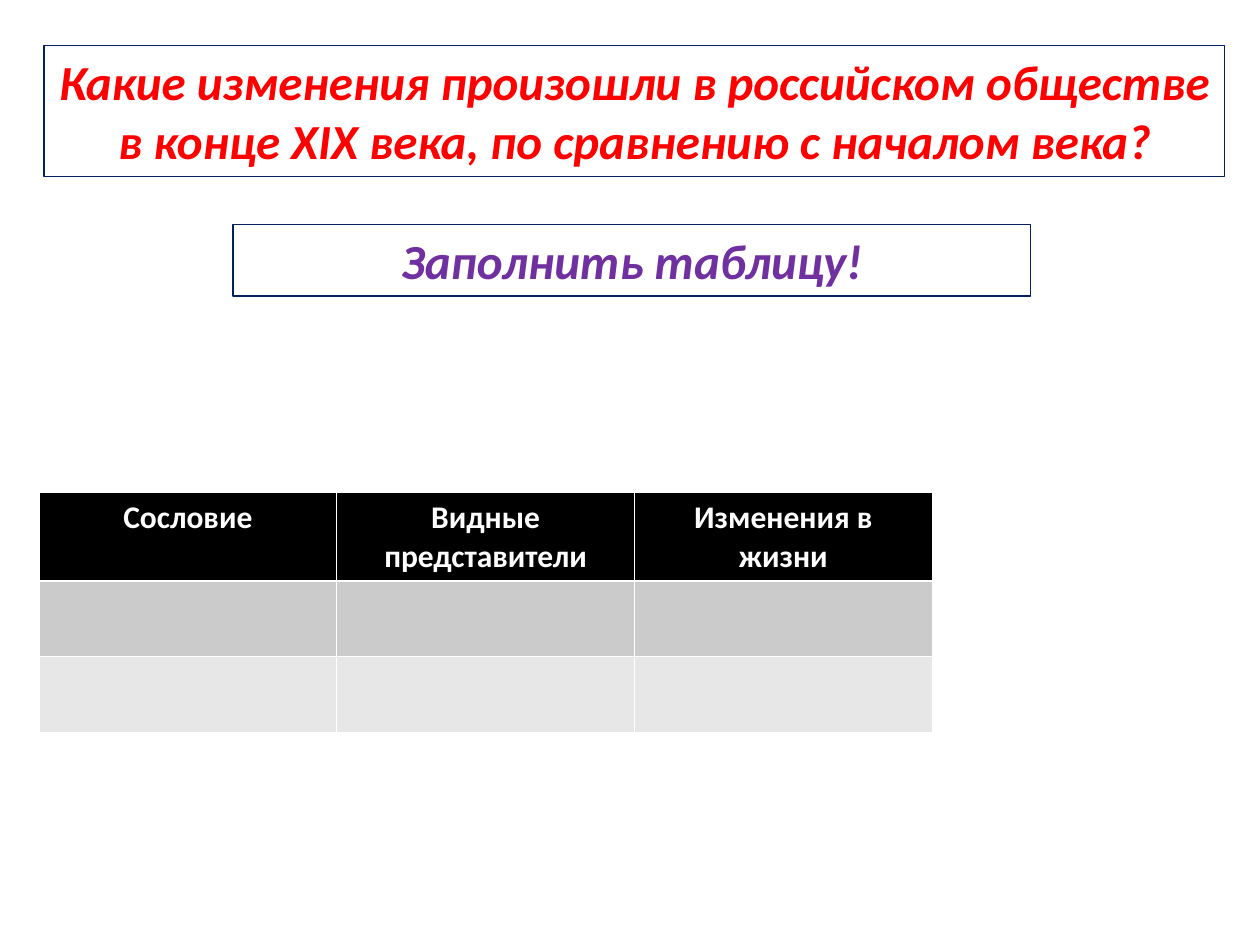
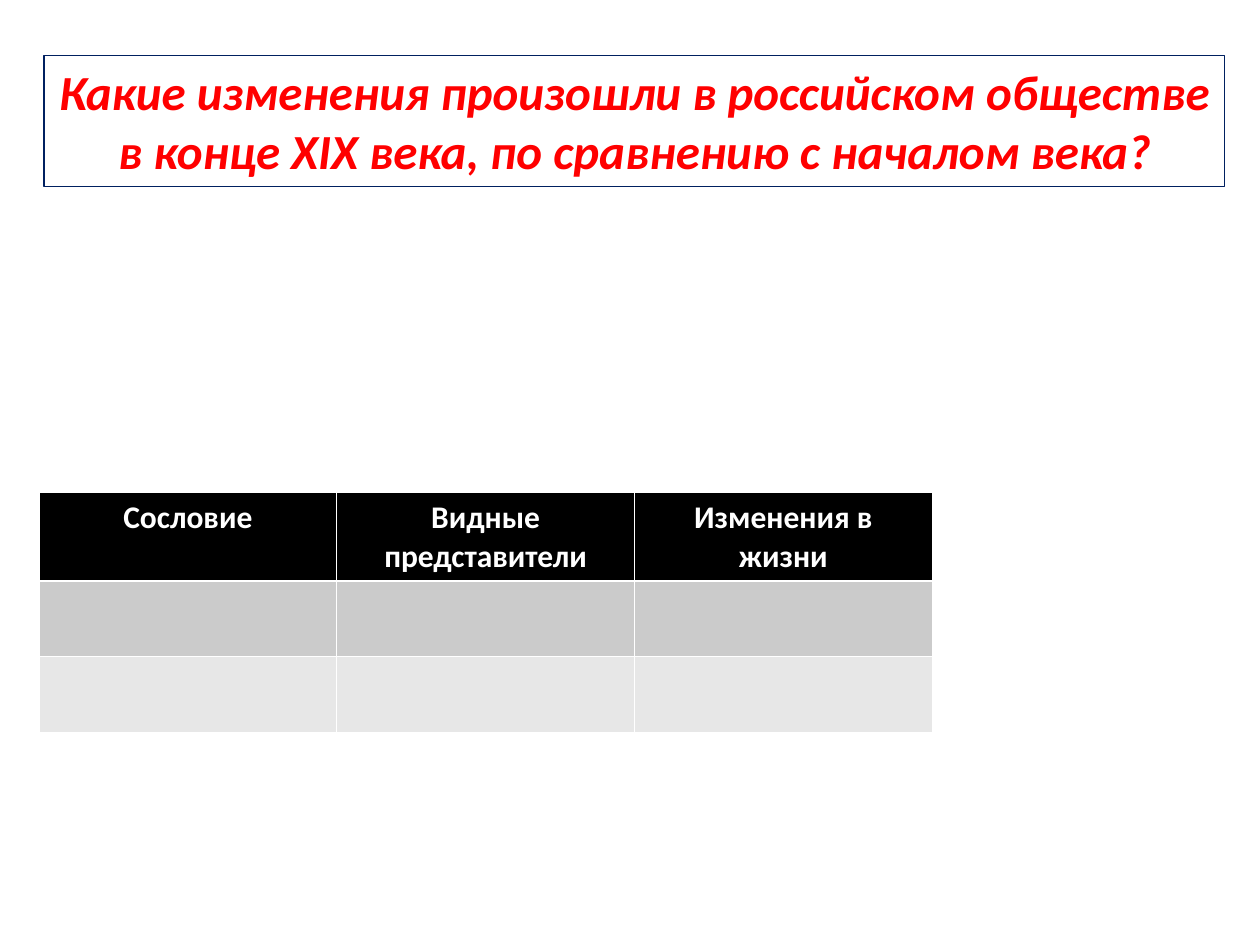
import pptx
import pptx.util
import pptx.dml.color
import pptx.enum.shapes
import pptx.enum.text
import pptx.oxml
import pptx.oxml.ns

RGBColor = pptx.dml.color.RGBColor
Pt = pptx.util.Pt

# Shared look
RED = RGBColor(0xFF, 0x00, 0x00)
PURPLE = RGBColor(0x70, 0x30, 0xA0)
NAVY = RGBColor(0x00, 0x20, 0x60)
WHITE = RGBColor(0xFF, 0xFF, 0xFF)
BLACK = RGBColor(0x00, 0x00, 0x00)
MID_GREY = RGBColor(0xCB, 0xCB, 0xCB)
PALE_GREY = RGBColor(0xE7, 0xE7, 0xE7)
FONT = "Calibri"
THIN, THICK = 0.45, 1.47

SLIDE_WIDTH = pptx.util.Inches(10)
SLIDE_HEIGHT = pptx.util.Inches(7.5)

# Shared content
QUESTION = ("Какие изменения произошли в российском обществе "
            "в конце XIX века, по сравнению с началом века?")
TASK = "Заполнить таблицу!"
HEADINGS = ["Сословие", "Видные представители", "Изменения в жизни"]
ROW_FILLS = [BLACK, MID_GREY, PALE_GREY]
ROW_HEIGHTS = [9.33, 8, 8]


def across(percent):
    return round(SLIDE_WIDTH * percent / 100)


def down(percent):
    return round(SLIDE_HEIGHT * percent / 100)


def write_centred(frame, text, size, color, italic=False):
    paragraph = frame.paragraphs[0]
    paragraph.alignment = pptx.enum.text.PP_ALIGN.CENTER
    run = paragraph.add_run()
    run.text = text
    font = run.font
    font.name, font.size = FONT, Pt(size)
    font.bold, font.italic = True, italic
    font.color.rgb = color


def add_framed_text(slide, left, top, width, height, text, color):
    """Outlined heading box; lengths are percentages of the slide."""
    box = slide.shapes.add_shape(
        pptx.enum.shapes.MSO_SHAPE.RECTANGLE,
        across(left), down(top), across(width), down(height))
    box.shadow.inherit = False
    box.fill.background()
    box.line.color.rgb = NAVY
    box.line.width = Pt(0.74)
    frame = box.text_frame
    frame.word_wrap = True
    frame.auto_size = pptx.enum.text.MSO_AUTO_SIZE.SHAPE_TO_FIT_TEXT
    frame.vertical_anchor = pptx.enum.text.MSO_ANCHOR.TOP
    write_centred(frame, text, 28, color, italic=True)


def add_borders(cell, widths):
    properties = cell._tc.get_or_add_tcPr()
    for side, width in widths.items():
        properties.append(pptx.oxml.parse_xml(
            f'<a:{side} {pptx.oxml.ns.nsdecls("a")} w="{Pt(width)}">'
            f'<a:solidFill><a:srgbClr val="{WHITE}"/></a:solidFill></a:{side}>'))


def add_estates_table(slide):
    estates = slide.shapes.add_table(
        len(ROW_FILLS), len(HEADINGS), across(3.1), down(52.13),
        across(70.9), down(sum(ROW_HEIGHTS))).table
    for row, (fill, height) in enumerate(zip(ROW_FILLS, ROW_HEIGHTS)):
        estates.rows[row].height = down(height)
        # The rule under the heading row is heavier than the rest
        widths = {"lnL": THIN, "lnR": THIN,
                  "lnT": THICK if row == 1 else THIN,
                  "lnB": THICK if row == 0 else THIN}
        for cell in estates.rows[row].cells:
            add_borders(cell, widths)
            cell.fill.solid()
            cell.fill.fore_color.rgb = fill
    for column, heading in enumerate(HEADINGS):
        write_centred(estates.cell(0, column).text_frame, heading, 18, WHITE)


def add_question_slide(deck, question_top):
    slide = deck.slides.add_slide(deck.slide_layouts[6])
    slide.background.fill.solid()
    slide.background.fill.fore_color.rgb = WHITE
    add_framed_text(slide, 3.5, question_top, 93.7, 13.87, QUESTION, RED)
    return slide


def main():
    deck = pptx.Presentation()
    deck.slide_width, deck.slide_height = SLIDE_WIDTH, SLIDE_HEIGHT

    # Slide 1: question, task and empty table
    task_slide = add_question_slide(deck, 4.8)
    add_framed_text(task_slide, 18.5, 23.73, 63.3, 7.6, TASK, PURPLE)
    add_estates_table(task_slide)

    # Slide 2: question and empty table
    add_estates_table(add_question_slide(deck, 5.87))

    deck.save("out.pptx")


main()
